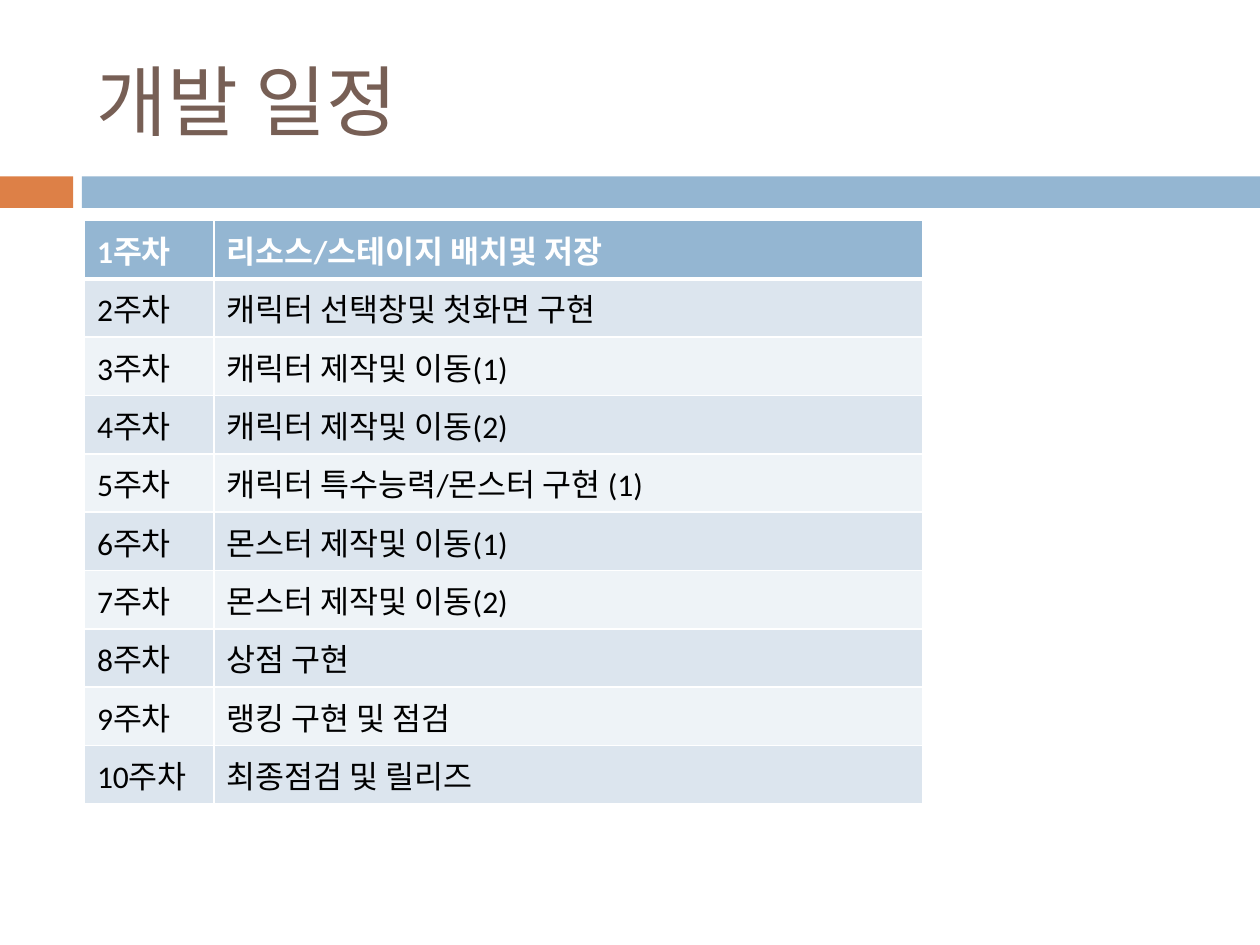
from dataclasses import dataclass

from lxml import etree
from pptx import Presentation
from pptx.dml.color import RGBColor
from pptx.enum import shapes, text
from pptx.oxml import ns
from pptx.util import Inches, Pt


@dataclass(frozen=True)
class Theme:
    latin: str = "Calibri"
    korean: str = "Noto Sans CJK KR"
    title_size: int = 44
    body_size: int = 18
    title: str = "775F55"
    accent: str = "DD8047"
    blue: str = "94B6D2"
    bands: tuple = ("DCE5EE", "EEF3F7")
    white: str = "FFFFFF"
    black: str = "000000"
    rule: int = 1
    header_rule: int = 3


THEME = Theme()
SCHEDULE = [
    "리소스/스테이지 배치및 저장",
    "캐릭터 선택창및 첫화면 구현",
    "캐릭터 제작및 이동(1)",
    "캐릭터 제작및 이동(2)",
    "캐릭터 특수능력/몬스터 구현 (1)",
    "몬스터 제작및 이동(1)",
    "몬스터 제작및 이동(2)",
    "상점 구현",
    "랭킹 구현 및 점검",
    "최종점검 및 릴리즈",
]


def write(frame, words, size, color, bold=False, korean=THEME.korean):
    frame.text = words
    font = frame.paragraphs[0].font
    font.size, font.bold, font.name = Pt(size), bold, THEME.latin
    font.color.rgb = RGBColor.from_string(color)
    east_asian = etree.SubElement(font._element, ns.qn("a:ea"))
    east_asian.set("typeface", korean)


def add_title(slide, left, top, width, height):
    frame = slide.shapes.add_textbox(left, top, width, height).text_frame
    frame.word_wrap = True
    frame.vertical_anchor = text.MSO_ANCHOR.MIDDLE
    write(frame, "개발 일정", THEME.title_size, THEME.title, korean=THEME.latin)


def add_divider(slide, left, top, width, height):
    accent_width, gap = Inches(0.58), Inches(0.07)
    offset = accent_width + gap
    bars = [(left, accent_width, THEME.accent),
            (left + offset, width - offset, THEME.blue)]
    for x, bar_width, color in bars:
        bar = slide.shapes.add_shape(
            shapes.MSO_SHAPE.RECTANGLE, x, top, bar_width, height)
        bar.shadow.inherit = False
        bar.fill.solid()
        bar.fill.fore_color.rgb = RGBColor.from_string(color)
        bar.line.fill.background()


def set_borders(cell, top, bottom):
    properties = cell._tc.get_or_add_tcPr()
    widths = {"L": THEME.rule, "R": THEME.rule, "T": top, "B": bottom}
    for side, width in widths.items():
        line = etree.SubElement(properties, ns.qn(f"a:ln{side}"), w=str(Pt(width)))
        fill = etree.SubElement(line, ns.qn("a:solidFill"))
        etree.SubElement(fill, ns.qn("a:srgbClr"), val=THEME.white)


def add_schedule(slide, left, top, width, height):
    table = slide.shapes.add_table(
        len(SCHEDULE), 2, left, top, width, height).table
    week_width = Inches(1.03)
    table.columns[0].width = week_width
    table.columns[1].width = width - week_width

    for row, task in enumerate(SCHEDULE):
        header = row == 0
        background = THEME.blue if header else THEME.bands[(row - 1) % 2]
        color = THEME.white if header else THEME.black
        for column, words in enumerate((f"{row + 1}주차", task)):
            cell = table.cell(row, column)
            # The heavy rule is shared by the first two rows
            set_borders(cell,
                        top=THEME.header_rule if row == 1 else THEME.rule,
                        bottom=THEME.header_rule if header else THEME.rule)
            cell.fill.solid()
            cell.fill.fore_color.rgb = RGBColor.from_string(background)
            write(cell.text_frame, words, THEME.body_size, color, bold=header)


def main():
    deck = Presentation()
    deck.slide_width, deck.slide_height = Inches(10), Inches(7.5)
    slide = deck.slides.add_slide(deck.slide_layouts[6])
    margin = Inches(0.67)

    # Heading
    add_divider(slide, 0, Inches(1.4), deck.slide_width, Inches(0.25))
    add_title(slide, margin, Inches(0.25), Inches(8.92), Inches(1.08))

    # Weekly plan
    add_schedule(slide, margin, Inches(1.75), Inches(6.65), Inches(4.63))

    deck.save("out.pptx")


if __name__ == "__main__":
    main()
